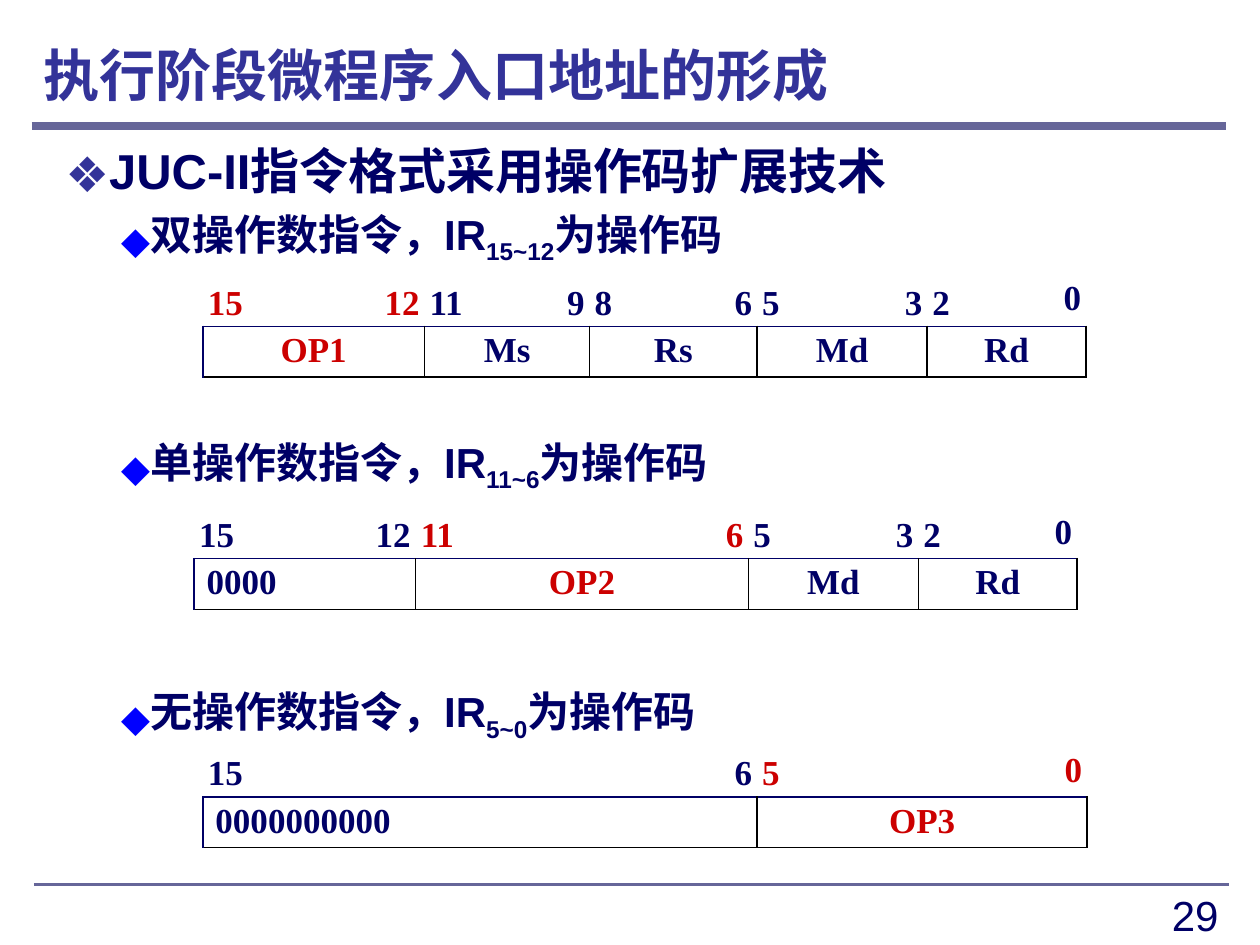
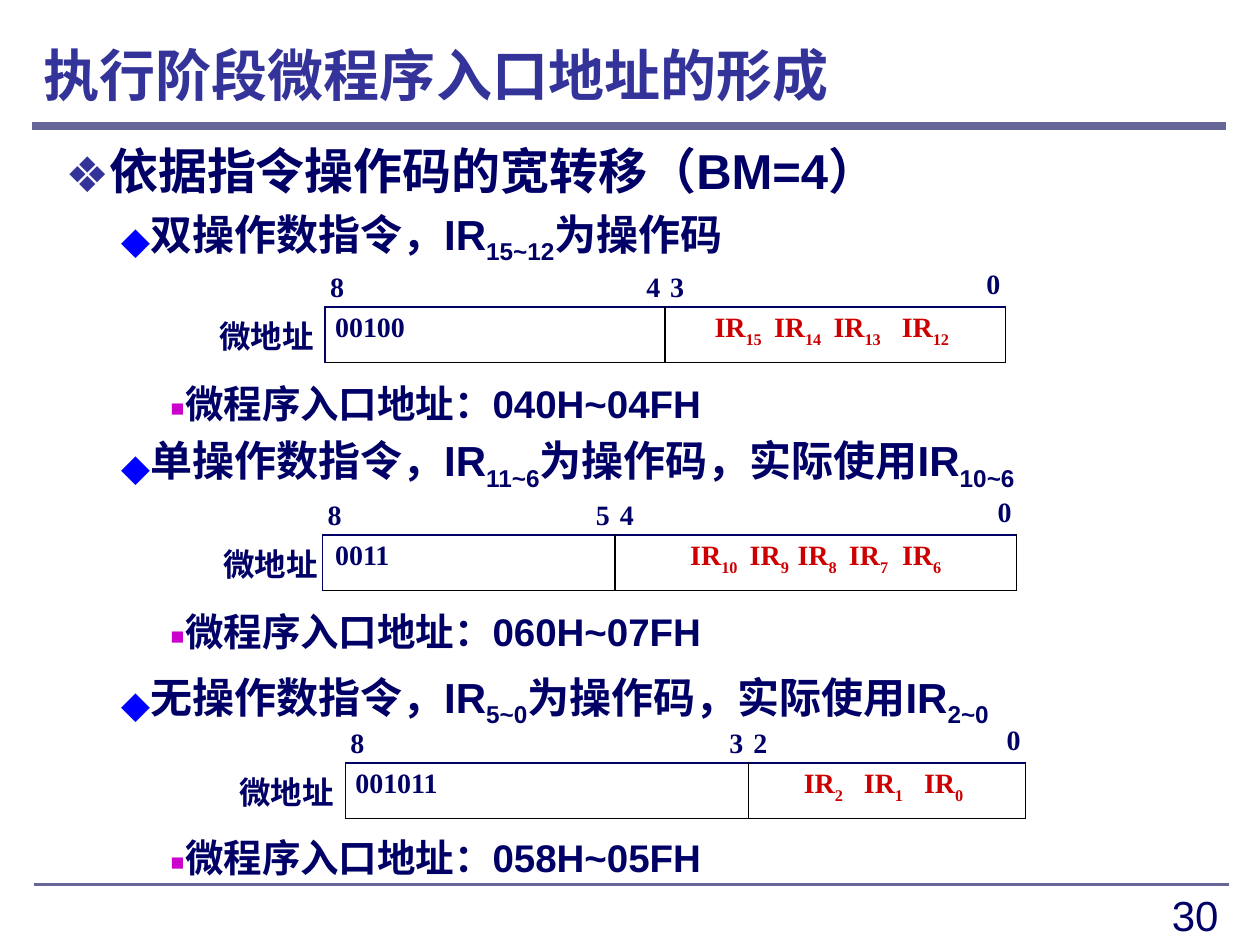
from dataclasses import dataclass
from itertools import zip_longest
from typing import NamedTuple

from lxml.etree import SubElement
from pptx import Presentation
from pptx.dml.color import RGBColor
from pptx.enum.shapes import MSO_CONNECTOR
from pptx.enum.text import MSO_ANCHOR, PP_ALIGN
from pptx.oxml.ns import qn
from pptx.util import Inches, Pt


@dataclass(frozen=True)
class Theme:
    """Colours, fonts and type sizes of the deck."""
    navy: str = "000066"
    title: str = "333399"
    rule: str = "666699"
    opcode: str = "CC0000"
    border: str = "000000"
    sans: str = "Arial"
    serif: str = "Times New Roman"
    title_font: str = "Cabin"
    bullet_font: str = "Noto Sans Symbols"
    title_size: int = 32
    number_size: int = 24
    label_size: int = 18
    format_size: int = 20
    address_size: int = 16
    plain_style: str = "{2D5ABB26-0587-4C30-8999-92F81FD0307C}"


class Level(NamedTuple):
    """Look of one outline level."""
    bullet: str
    colour: str
    size: int
    margin: float
    indent: float


class Run(NamedTuple):
    """A stretch of text with its baseline shift and letter spacing."""
    text: str
    baseline: int = 0
    spacing: float = 0


class Field(NamedTuple):
    """A group of bits: its end bits, content, column widths and role."""
    high: str
    low: str
    content: list
    columns: tuple
    role: str = "operand"


class Format(NamedTuple):
    """A bit layout: box, row heights, label and fields."""
    left: float
    top: float
    rows: tuple
    label_width: float
    fields: list
    label: str = ""
    label_inset: float = 0.04
    zeros_inset: float = 0.1


THEME = Theme()
LEVELS = [
    Level("❖", "333399", 28, 0, 0.15),
    Level("⬥", "0000FF", 24, 0.42, 0.17),
    Level("▪", "CC00CC", 22, 0.83, 0.15),
]
TITLE = "执行阶段微程序入口地址的形成"
INSET = 0.04


def marked(text):
    """Split text at underscores; every second piece is a subscript."""
    return [Run(piece, -25 * (i % 2)) for i, piece in enumerate(text.split("_")) if piece]


def register_bits(bits, gaps):
    """Runs naming instruction register bits, each followed by its gap in points."""
    runs = []
    for bit, gap in zip_longest(bits, gaps):
        runs += [Run("IR"), Run(str(bit), -30)]
        if gap:
            runs.append(Run(" ", 0, gap - 4))
    return runs


def add_runs(paragraph, runs, font, size, colour, bold=True):
    """Append styled runs to a paragraph."""
    for part in runs:
        run = paragraph.add_run()
        run.text = part.text
        run.font.name = font
        run.font.size = Pt(size)
        run.font.bold = bold
        run.font.color.rgb = RGBColor.from_string(colour)
        properties = run._r.get_or_add_rPr()
        if part.baseline:
            properties.set("baseline", str(part.baseline * 1000))
        if part.spacing:
            properties.set("spc", str(int(part.spacing * 100)))


def add_text_frame(slide, left, top, width, height):
    """Return the wrapping text frame of a new text box."""
    box = slide.shapes.add_textbox(Inches(left), Inches(top), Inches(width), Inches(height))
    box.text_frame.word_wrap = True
    return box.text_frame


def add_rule(slide, left, top, width, weight):
    """Draw a horizontal rule."""
    rule = slide.shapes.add_connector(
        MSO_CONNECTOR.STRAIGHT, Inches(left), Inches(top), Inches(left + width), Inches(top))
    rule.line.color.rgb = RGBColor.from_string(THEME.rule)
    rule.line.width = Pt(weight)
    SubElement(rule._element.spPr, qn("a:effectLst"))


def add_frame(slide, number):
    """Draw the title, both rules and the page number."""
    add_rule(slide, 0.25, 1, 9.48, 4.5)
    add_rule(slide, 0.27, 7.02, 9.48, 1.5)
    page = add_text_frame(slide, 7.44, 7.01, 2.33, 0.44).paragraphs[0]
    page.alignment = PP_ALIGN.RIGHT
    add_runs(page, [Run(str(number))], THEME.sans, THEME.number_size, THEME.navy, False)
    heading = add_text_frame(slide, 0.25, 0.25, 9.48, 0.67)
    heading.vertical_anchor = MSO_ANCHOR.MIDDLE
    add_runs(heading.paragraphs[0], [Run(TITLE)],
             THEME.title_font, THEME.title_size, THEME.title)


def add_outline(slide, height, items):
    """Write bulleted items given as level, space before and text."""
    outline = add_text_frame(slide, 0.27, 1.07, 9.48, height)
    for i, (depth, space, text) in enumerate(items):
        level = LEVELS[depth]
        paragraph = outline.add_paragraph() if i else outline.paragraphs[0]
        paragraph.space_before = Pt(space)
        properties = paragraph._p.get_or_add_pPr()
        properties.set("marL", str(Inches(level.margin)))
        properties.set("indent", str(Inches(level.indent)))
        colour = SubElement(properties, qn("a:buClr"))
        SubElement(colour, qn("a:srgbClr"), val=level.colour)
        SubElement(properties, qn("a:buFont"), typeface=THEME.bullet_font)
        SubElement(properties, qn("a:buChar"), char=level.bullet)
        add_runs(paragraph, marked(text), THEME.sans, level.size, THEME.navy)


def set_borders(cell, left_colour):
    """Give a cell four thin borders."""
    properties = cell._tc.get_or_add_tcPr()
    sides = {"L": left_colour, "R": THEME.border, "T": THEME.navy, "B": THEME.border}
    for side, colour in sides.items():
        line = SubElement(properties, qn(f"a:ln{side}"), w=str(Pt(1)))
        fill = SubElement(line, qn("a:solidFill"))
        SubElement(fill, qn("a:srgbClr"), val=colour)


def write_cell(cell, runs, size, colour=THEME.navy, align=PP_ALIGN.LEFT,
               anchor=MSO_ANCHOR.TOP, insets=(INSET, INSET), font=THEME.serif):
    """Fill a cell with runs, or keep an empty one at the given size."""
    cell.fill.background()
    cell.margin_left, cell.margin_right = map(Inches, insets)
    cell.margin_top, cell.margin_bottom = Inches(INSET), Inches(0.03)
    cell.vertical_anchor = anchor
    paragraph = cell.text_frame.paragraphs[0]
    paragraph.alignment = align
    add_runs(paragraph, runs, font, size, colour)
    if not runs:
        ending = SubElement(paragraph._p, qn("a:endParaRPr"), sz=str(size * 100))
        SubElement(ending, qn("a:latin"), typeface=font)


def add_field(table, column, field, size, bit_colour, zeros_inset):
    """Write one field: end bits in the top row, merged content below."""
    first, last = column, column + len(field.columns) - 1
    final = last == len(table.columns) - 1
    for i in range(first, last + 1):
        bit = {first: field.high, last: field.low}.get(i)
        write_cell(table.cell(0, i), [Run(bit)] if bit else [], size, bit_colour,
                   PP_ALIGN.RIGHT if i == last else PP_ALIGN.LEFT,
                   MSO_ANCHOR.TOP if final and i == last else MSO_ANCHOR.BOTTOM)
        set_borders(table.cell(1, i), THEME.navy if first == 1 else THEME.border)
        if i > first:
            write_cell(table.cell(1, i), [], size)
    content = table.cell(1, first)
    zeros = field.role == "zeros"
    inset = zeros_inset if zeros else INSET
    write_cell(content, field.content, size,
               THEME.opcode if field.role == "opcode" else THEME.navy,
               PP_ALIGN.LEFT if zeros else PP_ALIGN.CENTER, insets=(inset, inset))
    content.merge(table.cell(1, last))


def add_format(slide, layout, size, bits_follow_role):
    """Draw a bit layout: end bits above, contents below."""
    widths = [layout.label_width]
    for field in layout.fields:
        widths += field.columns
    frame = slide.shapes.add_table(
        2, len(widths), Inches(layout.left), Inches(layout.top),
        Inches(sum(widths)), Inches(sum(layout.rows)))
    table = frame.table
    table.first_row = table.horz_banding = False
    table._tbl.tblPr.find(qn("a:tableStyleId")).text = THEME.plain_style
    for column, width in zip(table.columns, widths):
        column.width = Inches(width)
    for row, height in zip(table.rows, layout.rows):
        row.height = Inches(height)

    write_cell(table.cell(0, 0), [], size)
    label = [Run(layout.label)] if layout.label else []
    write_cell(table.cell(1, 0), label, THEME.label_size if label else size,
               align=PP_ALIGN.RIGHT, insets=(INSET, layout.label_inset), font=THEME.sans)
    column = 1
    for field in layout.fields:
        highlighted = bits_follow_role and field.role == "opcode"
        add_field(table, column, field, size,
                  THEME.opcode if highlighted else THEME.navy, layout.zeros_inset)
        column += len(field.columns)


def add_instruction_formats(slide):
    """Show the three instruction formats with expanding opcodes."""
    add_outline(slide, 5.97, [
        (0, 6.2, "JUC-II指令格式采用操作码扩展技术"),
        (1, 4.8, "双操作数指令，IR_15~12_为操作码"),
        (1, 97.4, "单操作数指令，IR_11~6_为操作码"),
        (1, 110, "无操作数指令，IR_5~0_为操作码"),
    ])
    opcode_bits = (0.88, 0.88)
    destination = [Field("5", "3", [Run("Md")], (0.6, 0.75)),
                   Field("2", "0", [Run("Rd")], (0.55, 0.71))]
    middle = (0.88, 0.56, 0.56, 0.76)
    formats = [
        Format(0.27, 2.18, (0.41, 0.39), 1.34, [
            Field("15", "12", [Run("OP1")], opcode_bits, "opcode"),
            Field("11", "9", [Run("Ms")], (0.56 + 0.32, 0.43)[:0] or (0.56, 0.75)),
            Field("8", "6", [Run("Rs")], (0.57, 0.76)), *destination]),
        Format(0.2, 4.03, (0.39, 0.39), 1.34, [
            Field("15", "12", [Run("0000")], opcode_bits, "zeros"),
            Field("11", "6", [Run("OP2")], (0.56, 0.56, 0.76, 0.76), "opcode"),
            *destination]),
        Format(0.27, 5.92, (0.39, 0.39), 1.34, [
            Field("15", "6", [Run("0000000000")],
                  (*opcode_bits, 0.56, 0.56, 0.76, 0.76), "zeros"),
            Field("5", "0", [Run("OP3")], (0.6, 0.6, 0.71, 0.71), "opcode")]),
    ]
    for layout in formats:
        add_format(slide, layout, THEME.format_size, True)


def add_entry_addresses(slide):
    """Show how opcode bits form each microprogram entry address."""
    add_outline(slide, 6.14, [
        (0, 6.2, "依据指令操作码的宽转移（BM=4）"),
        (1, 4.8, "双操作数指令，IR_15~12_为操作码"),
        (2, 65.6, "微程序入口地址：040H~04FH"),
        (1, 4.8, "单操作数指令，IR_11~6_为操作码，实际使用IR_10~6"),
        (2, 66, "微程序入口地址：060H~07FH"),
        (1, 10, "无操作数指令，IR_5~0_为操作码，实际使用IR_2~0"),
        (2, 60.3, "微程序入口地址：058H~05FH"),
    ])
    rows, label = (0.32, 0.44), "微地址"
    addresses = [
        Format(0.98, 2.1, rows, 1.6, [
            Field("8", "4", [Run("00100")], (1.71, 0.99), "zeros"),
            Field("3", "0", register_bits([15, 14, 13, 12], [7, 7, 12, 3]),
                  (0.63, 2.07), "opcode"),
        ], label, 0.09, 0.08),
        Format(1.14, 3.91, rows, 1.42, [
            Field("8", "5", [Run("0011")], (1.26, 1.06), "zeros"),
            Field("4", "0", register_bits([10, 9, 8, 7, 6], [7, 5, 7, 8]),
                  (0.67, 0.68, 0.92, 0.92), "opcode"),
        ], label),
        Format(1.14, 5.72, rows, 1.6, [
            Field("8", "3", [Run("001011")], (1.71, 1.49), "zeros"),
            Field("2", "0", register_bits([2, 1, 0], [12, 12, 7]), (1.02, 1.18), "opcode"),
        ], label, 0.09, 0.08),
    ]
    for layout in addresses:
        add_format(slide, layout, THEME.address_size, False)


def main():
    """Build and save the deck."""
    deck = Presentation()
    deck.slide_width, deck.slide_height = Inches(10), Inches(7.5)
    pages = (add_instruction_formats, add_entry_addresses)
    for number, add_content in enumerate(pages, start=29):
        slide = deck.slides.add_slide(deck.slide_layouts[6])
        add_frame(slide, number)
        add_content(slide)
    deck.save("out.pptx")


if __name__ == "__main__":
    main()
